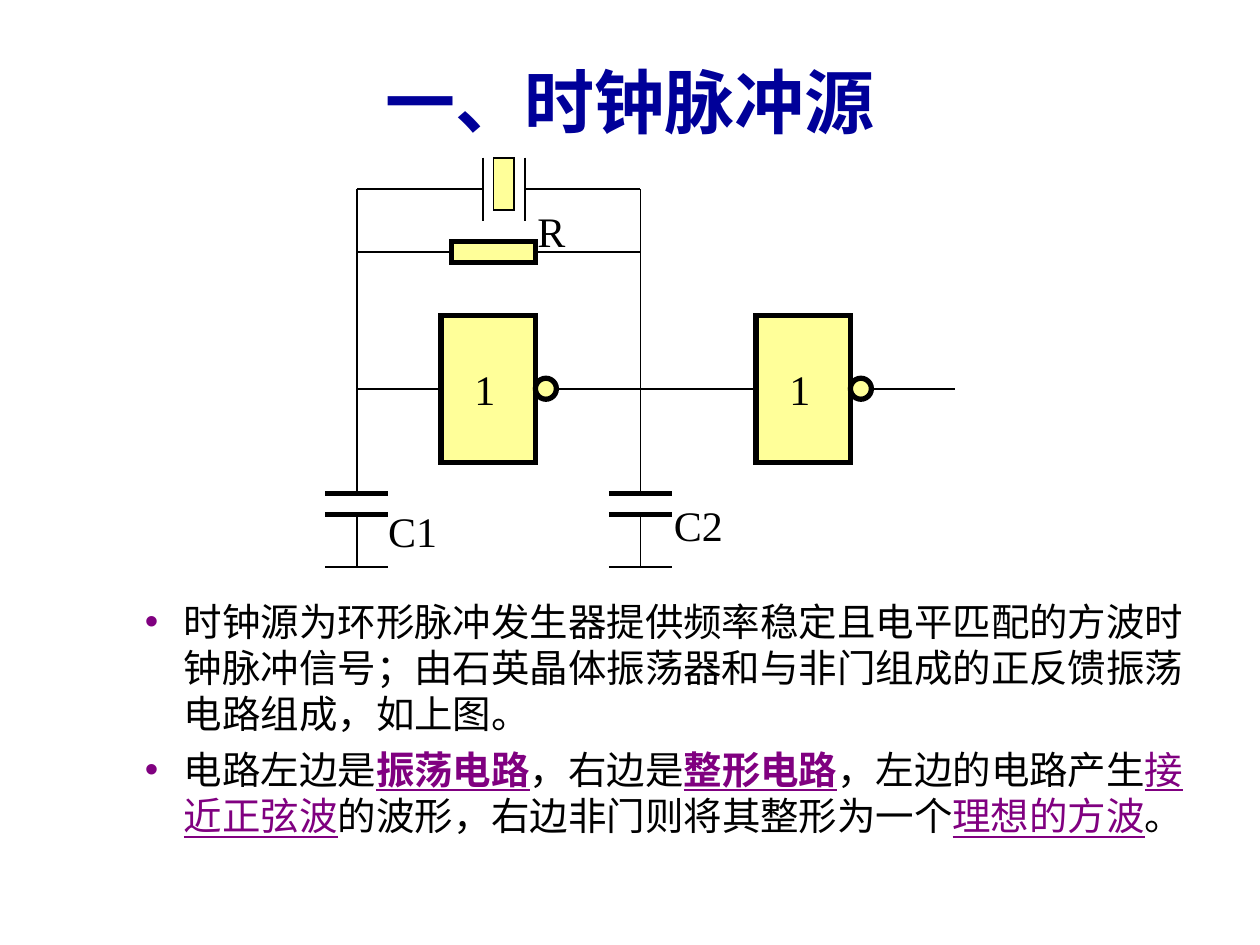
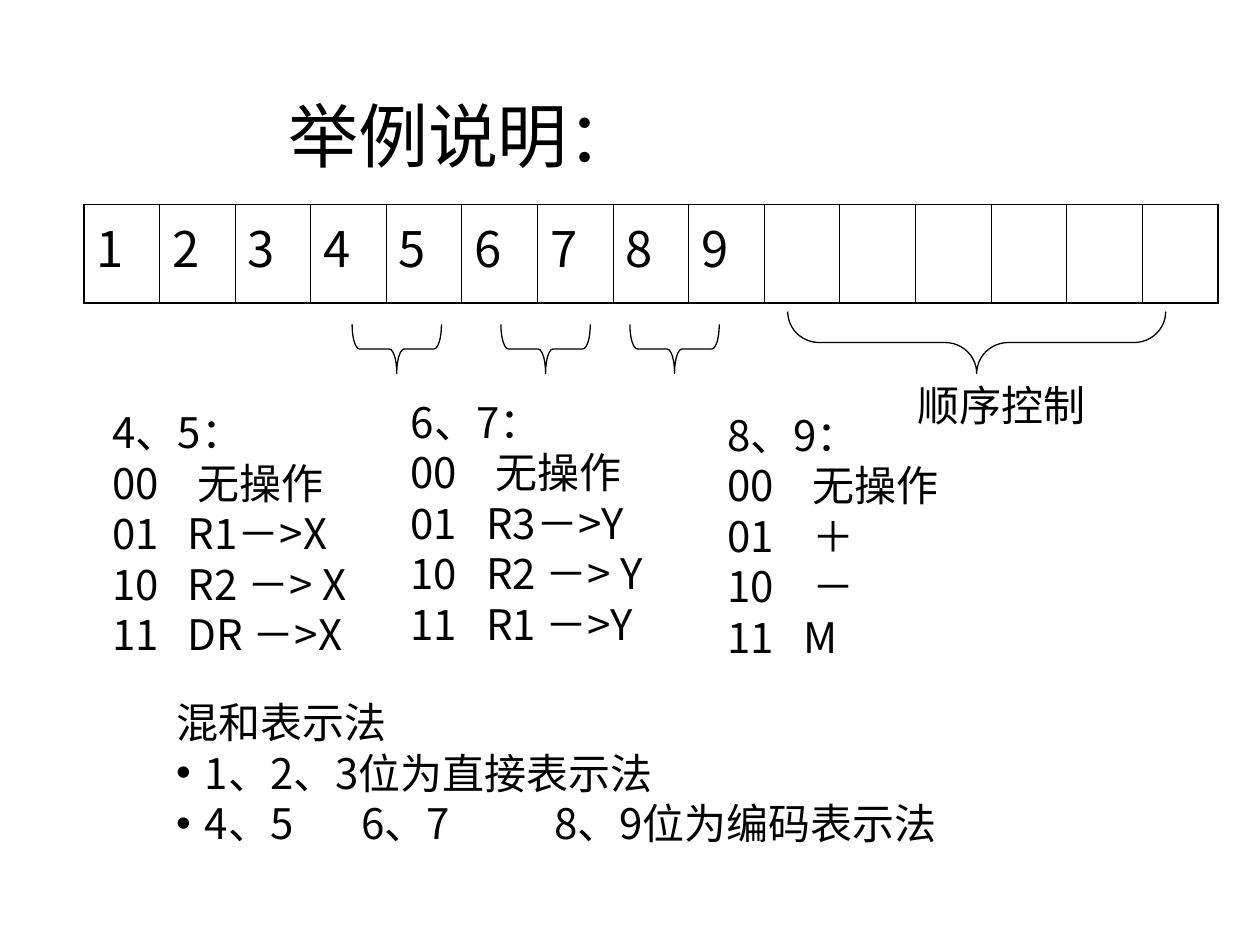
from pptx import Presentation
from pptx import util as u
from pptx.dml.color import RGBColor
from pptx.enum import shapes, text
from pptx.oxml import ns
from lxml import etree

Cm, Pt = u.Cm, u.Pt
BLACK, NAVY, PURPLE, YELLOW = "000000", "000099", "800080", "FFFF99"
SERIF, SANS, CHINESE = "Times New Roman", "Arial", "Noto Sans CJK SC"
LINE_FACTOR = 1.2
GRID = 2.54 / 12  # the circuit is drawn on a twelfth-of-an-inch grid


def color(hex_string):
    return RGBColor.from_string(hex_string)


def add_xml(parent, tag, **attributes):
    values = {name: str(value) for name, value in attributes.items()}
    return etree.SubElement(parent, ns.qn(tag), values)


def format_run(run, size, font, hex_color, bold=False, underline=False):
    run.font.size, run.font.bold = Pt(size), bold
    run.font.underline = underline
    run.font.color.rgb = color(hex_color)
    run.font.name = font
    add_xml(run._r.get_or_add_rPr(), "a:ea", typeface=CHINESE)


def write(frame, lines, size, font=CHINESE, hex_color=BLACK, bold=False):
    """Fill a frame with one plain paragraph per line."""
    frame.text = "\n".join(lines)
    for paragraph in frame.paragraphs:
        paragraph.line_spacing = Pt(round(size * LINE_FACTOR, 1))
        for run in paragraph.runs:
            format_run(run, size, font, hex_color, bold)


def add_bullet(paragraph, hex_color, margin=0, indent=0):
    properties = paragraph._p.get_or_add_pPr()
    properties.set("marL", str(Cm(margin)))
    properties.set("indent", str(Cm(indent)))
    add_xml(add_xml(properties, "a:buClr"), "a:srgbClr", val=hex_color)
    add_xml(properties, "a:buFont", typeface=SANS)
    add_xml(properties, "a:buChar", char="•")


def add_tabs(paragraph, positions):
    tabs = add_xml(paragraph._p.get_or_add_pPr(), "a:tabLst")
    for position in positions:
        add_xml(tabs, "a:tab", pos=Cm(position), algn="l")


def add_text(parent, box, lines, size, font=CHINESE, wrap=False):
    textbox = parent.add_textbox(*map(Cm, box))
    textbox.text_frame.word_wrap = wrap
    write(textbox.text_frame, lines, size, font)
    return textbox.text_frame


def set_title(slide, box, title, font, hex_color, bold, align, anchor, margin):
    shape = slide.shapes.title
    shape.left, shape.top, shape.width, shape.height = map(Cm, box)
    frame = shape.text_frame
    frame.auto_size = text.MSO_AUTO_SIZE.NONE
    frame.vertical_anchor = anchor
    frame.margin_left = Cm(margin)
    write(frame, [title], 40, font, hex_color, bold)
    frame.paragraphs[0].alignment = align


def add_circuit(slide, left, top):
    """Draw the oscillator; all coordinates below are grid steps from left, top."""
    parts = slide.shapes.add_group_shape().shapes

    def place(x, y):
        return Cm(left + x * GRID), Cm(top + y * GRID)

    def wire(x1, y1, x2, y2, width=1):
        connector = parts.add_connector(
            shapes.MSO_CONNECTOR.STRAIGHT, *place(x1, y1), *place(x2, y2))
        connector.line.color.rgb = color(BLACK)
        connector.line.width = Pt(width)
        add_xml(connector._element.spPr, "a:effectLst")

    def block(x, y, width, height, line=3, kind=shapes.MSO_SHAPE.RECTANGLE):
        shape = parts.add_shape(
            kind, *place(x, y), Cm(width * GRID), Cm(height * GRID))
        shape.shadow.inherit = False
        shape.fill.solid()
        shape.fill.fore_color.rgb = color(YELLOW)
        shape.line.color.rgb = color(BLACK)
        shape.line.width = Pt(line)
        add_xml(shape.line._get_or_add_ln(), "a:miter", lim=800000)

    def label(x, y, width, caption):
        box = left + x * GRID, top + y * GRID, width * GRID, 6 * GRID
        add_text(parts, box, [caption], 24, SERIF, wrap=True)

    def inverter(x):
        block(x, 15, 9, 14)
        block(x + 9, 21, 2, 2, kind=shapes.MSO_SHAPE.OVAL)
        label(x + 2, 19, 5, "1")

    def capacitor(x, caption, caption_x, caption_y):
        for y, width in ((32, 3), (34, 3), (39, 1)):
            wire(x - 3, y, x + 3, y, width)
        wire(x, 34, x, 39)
        label(caption_x, caption_y, 8, caption)

    left_rail, right_rail = 3, 30
    for rail in (left_rail, right_rail):
        wire(rail, 3, rail, 32)
    # crystal, resistor and first gate bridge the two rails
    for y, start, end in ((3, 15, 19), (9, 12, 20), (22, 11, 22)):
        wire(left_rail, y, start, y)
        wire(end, y, right_rail, y)
    for x in (15, 19):
        wire(x, 0, x, 6)
    block(16, 0, 2, 5, line=1)
    block(12, 8, 8, 2)
    label(19, 4, 6, "R")
    wire(right_rail, 22, 41, 22)
    wire(52, 22, 60, 22)
    for x in (11, 41):
        inverter(x)
    capacitor(left_rail, "C1", 4.8, 32.5)
    capacitor(right_rail, "C2", 32, 32)


def add_explanation(slide, box):
    """Bulleted text whose runs are (words, underlined, bold)."""
    paragraphs = [
        [("时钟源为环形脉冲发生器提供频率稳定且电平匹配的方波时钟脉冲信号；"
          "由石英晶体振荡器和与非门组成的正反馈振荡电路组成，如上图。", False, False)],
        [("电路左边是", False, False), ("振荡电路", True, True),
         ("，右边是", False, False), ("整形电路", True, True),
         ("，左边的电路产生", False, False), ("接近正弦波", True, False),
         ("的波形，右边非门则将其整形为一个", False, False),
         ("理想的方波", True, False), ("。", False, False)],
    ]
    frame = slide.shapes.add_textbox(*map(Cm, box)).text_frame
    frame.word_wrap = True
    for number, runs in enumerate(paragraphs):
        paragraph = frame.add_paragraph() if number else frame.paragraphs[0]
        paragraph.line_spacing = Pt(22 * LINE_FACTOR)
        if number:
            paragraph.space_before = Pt(5.5)
        add_bullet(paragraph, PURPLE, 2.06, -0.79)
        for words, underlined, bold in runs:
            run = paragraph.add_run()
            run.text = words
            format_run(run, 22, SANS, PURPLE if underlined else BLACK,
                       bold, underlined)


def set_borders(cell, widths):
    properties = cell._tc.get_or_add_tcPr()
    for index, (side, width) in enumerate(widths.items()):
        line = add_xml(properties, f"a:ln{side}", w=Pt(width))
        add_xml(add_xml(line, "a:solidFill"), "a:srgbClr", val=BLACK)
        properties.insert(index, line)


def add_bit_fields(slide, left, top, width, height, count=15, numbered=9):
    table = slide.shapes.add_table(
        1, count, *map(Cm, (left, top, width, height))).table
    table.first_row = table.horz_banding = False
    for index, column in enumerate(table.columns):
        column.width = Cm(width / count)
        cell = table.cell(0, index)
        cell.fill.background()
        set_borders(cell, {"L": 0.45 if index else 1.08,
                           "R": 0.45 if index < count - 1 else 1.08,
                           "T": 1.08, "B": 1.08})
        cell.margin_top = Cm(0.38)
        if index < numbered:
            write(cell.text_frame, [str(index + 1)], 28)


def add_brace(slide, left, top, length, depth):
    """Brace pointing down; a left brace turned inside the given box."""
    shape = slide.shapes.add_shape(
        shapes.MSO_SHAPE.LEFT_BRACE, Cm(left + (length - depth) / 2),
        Cm(top - (length - depth) / 2), Cm(depth), Cm(length))
    shape.rotation = 270
    shape.adjustments[0] = length / 12 / depth
    shape.shadow.inherit = False
    shape.fill.background()
    shape.line.color.rgb = color(BLACK)
    shape.line.width = Pt(0.75)


def add_code_list(slide, left, top, width, bits, operations):
    codes = [f"{code:02b}\t{name}" for code, name in enumerate(operations)]
    frame = add_text(slide.shapes, (left, top, width, 6.35), [bits, *codes], 24)
    for paragraph, name in zip(frame.paragraphs[1:], operations):
        add_tabs(paragraph, [1.52 if name[0].isascii() else 1.71])


def add_summary(slide, box):
    frame = add_text(slide.shapes, box, [
        "混和表示法", "\t1、2、3位为直接表示法",
        "\t4、5\t6、7\t8、9位为编码表示法"], 24, wrap=True)
    for paragraph in frame.paragraphs[1:]:
        add_bullet(paragraph, BLACK)
        add_tabs(paragraph, [0.58, 3.73, 7.62])


def build_clock_slide(slide):
    set_title(slide, (0.84, 1.07, 23.72, 1.93), "一、时钟脉冲源", SERIF, NAVY, True,
              text.PP_ALIGN.CENTER, text.MSO_ANCHOR.MIDDLE, 0.25)
    add_explanation(slide, (1.4, 11.93, 23.01, 5.52))
    add_circuit(slide, 6.56, 3.18)


def build_example_slide(slide):
    set_title(slide, (4.29, 1.73, 10.21, 1.96), "举例说明：", CHINESE, BLACK, False,
              text.PP_ALIGN.LEFT, text.MSO_ANCHOR.TOP, 1.52)
    add_bit_fields(slide, 1.69, 4.12, 22.86, 1.99)
    add_brace(slide, 15.88, 6.28, 7.62, 1.25)
    for left in (7.1, 10.1, 12.7):
        add_brace(slide, left, 6.54, 1.8, 0.99)
    add_text(slide.shapes, (18.24, 7.52, 3.89, 1.27), ["顺序控制"], 24)
    add_code_list(slide, 2.02, 8.08, 7.37, "4、5：",
                  ["无操作", "R1－>X", "R2 －> X", "DR －>X"])
    add_code_list(slide, 8.03, 7.87, 7.37, "6、7：",
                  ["无操作", "R3－>Y", "R2 －> Y", "R1 －>Y"])
    add_code_list(slide, 14.42, 8.13, 5.79, "8、9：", ["无操作", "＋", "－", "M"])
    add_summary(slide, (3.3, 13.92, 19.41, 3.3))


def main():
    presentation = Presentation()
    presentation.slide_width, presentation.slide_height = Cm(25.4), Cm(19.05)
    title_only = presentation.slide_layouts[5]
    for build in (build_clock_slide, build_example_slide):
        build(presentation.slides.add_slide(title_only))
    presentation.save("out.pptx")


if __name__ == "__main__":
    main()
